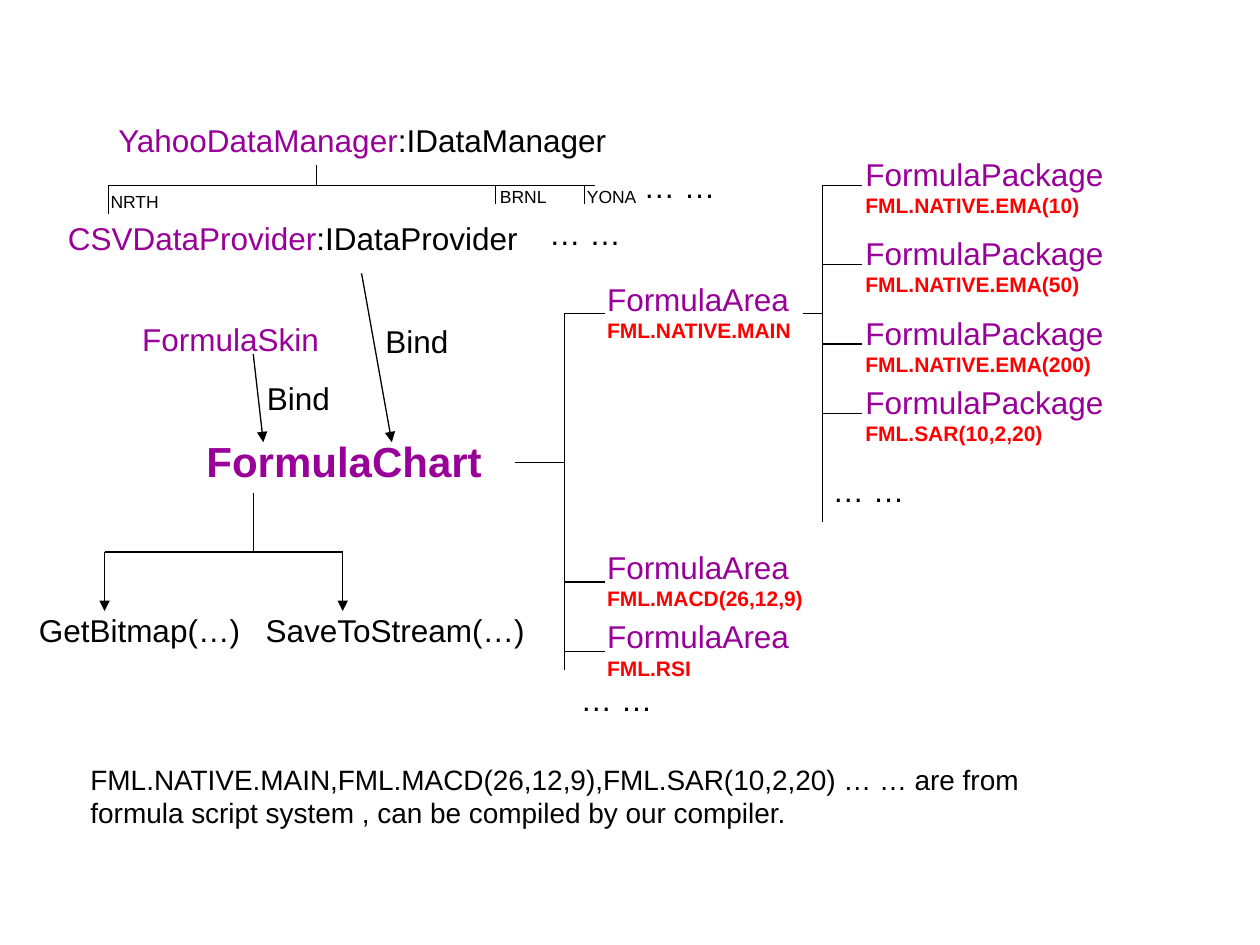
from lxml import etree
from pptx import Presentation
from pptx.dml.color import RGBColor
from pptx.enum.shapes import MSO_CONNECTOR
from pptx.enum.text import MSO_AUTO_SIZE
from pptx.oxml.ns import qn
from pptx.util import Inches, Pt

STRAIGHT = MSO_CONNECTOR.STRAIGHT
FIT_SHAPE = MSO_AUTO_SIZE.SHAPE_TO_FIT_TEXT
BLACK, PURPLE, RED = "000000", "990099", "FF0000"

deck = Presentation()
deck.slide_width, deck.slide_height = Inches(10), Inches(7.5)
page = deck.slides.add_slide(deck.slide_layouts[6])


def add_text(text, left, top, width, height=0.4, size=18, color=BLACK,
             bold=False, interface="", formula=""):
    box = page.shapes.add_textbox(Inches(left), Inches(top), Inches(width), Inches(height))
    frame = box.text_frame
    frame.word_wrap = True
    frame.auto_size = FIT_SHAPE
    lines = [[(line, size, color, bold)] for line in text.split("\n")]
    if interface:
        lines[0].append((interface, size, BLACK, bold))
    if formula:
        lines.append([(formula, 12, RED, True)])
    for index, spans in enumerate(lines):
        para = frame.add_paragraph() if index else frame.paragraphs[0]
        for words, points, shade, heavy in spans:
            span = para.add_run()
            span.text = words
            span.font.name = "Arial"
            span.font.size = Pt(points)
            span.font.bold = heavy
            span.font.color.rgb = RGBColor.from_string(shade)


def add_line(x1, y1, x2, y2, arrow=False):
    line = page.shapes.add_connector(STRAIGHT, Inches(x1), Inches(y1), Inches(x2), Inches(y2))
    line.line.width = Pt(0.75)
    line.line.color.rgb = RGBColor.from_string(BLACK)
    properties = line._element.spPr
    if arrow:
        etree.SubElement(properties.find(qn("a:ln")), qn("a:tailEnd"), type="triangle")
    etree.SubElement(properties, qn("a:effectLst"))


add_text("YahooDataManager", 0.84, 0.91, 4.15, color=PURPLE, interface=":IDataManager")
add_text("CSVDataProvider", 0.44, 1.69, 3.82, color=PURPLE, interface=":IDataProvider")
add_line(2.51, 1.31, 2.51, 1.47)
add_line(0.86, 1.47, 4.72, 1.47)
for symbol, x, bottom, left, top in [
    ("NRTH", 0.86, 1.7, 0.78, 1.47),
    ("BRNL", 3.93, 1.62, 3.87, 1.43),
    ("YONA", 4.64, 1.62, 4.56, 1.43),
]:
    add_line(x, 1.47, x, bottom)
    add_text(symbol, left, top, 0.64, 0.27, size=10)

add_text("FormulaSkin", 1.03, 2.49, 1.65, color=PURPLE)
add_text("FormulaChart", 1.54, 3.41, 2.45, 0.5, size=24, color=PURPLE, bold=True)
add_line(2.87, 2.17, 3.11, 3.51, arrow=True)
add_line(2.01, 2.81, 2.09, 3.51, arrow=True)
for left, top in [(2.96, 2.51), (2.02, 2.96)]:
    add_text("Bind", left, top, 0.75)

add_line(2.01, 3.91, 2.01, 4.38)
add_line(0.83, 4.38, 2.72, 4.38)
for method, x, left, width in [
    ("GetBitmap(…)", 0.83, 0.21, 1.85),
    ("SaveToStream(…)", 2.72, 2.01, 2.32),
]:
    add_line(x, 4.38, x, 4.85, arrow=True)
    add_text(method, left, 4.8, width)

add_line(4.09, 3.67, 4.48, 3.67)
add_line(4.48, 2.49, 4.48, 5.32)
for formula, y in [
    ("FML.NATIVE.MAIN", 2.49),
    ("FML.MACD(26,12,9)", 4.62),
    ("FML.RSI", 5.17),
]:
    add_line(4.48, y, 4.8, y)
    add_text("FormulaArea", 4.72, y - 0.32, 1.8, 0.6, color=PURPLE, formula=formula)

add_line(6.37, 2.49, 6.53, 2.49)
add_line(6.53, 1.47, 6.53, 4.14)
for formula, y in [
    ("FML.NATIVE.EMA(10)", 1.47),
    ("FML.NATIVE.EMA(50)", 2.1),
    ("FML.NATIVE.EMA(200)", 2.73),
    ("FML.SAR(10,2,20)", 3.28),
]:
    add_line(6.53, y, 6.84, y)
    add_text("FormulaPackage", 6.77, y - 0.29, 2.14, 0.6, color=PURPLE, formula=formula)

for left, top in [(5.01, 1.28), (4.26, 1.65), (6.51, 3.69), (4.51, 5.35)]:
    add_text("… …", left, top, 0.8)

add_text("FML.NATIVE.MAIN,FML.MACD(26,12,9),FML.SAR(10,2,20) … … are from\n"
         "formula script system , can be compiled by our compiler.",
         0.62, 6, 7.7, 0.64, size=16)

deck.save("out.pptx")
